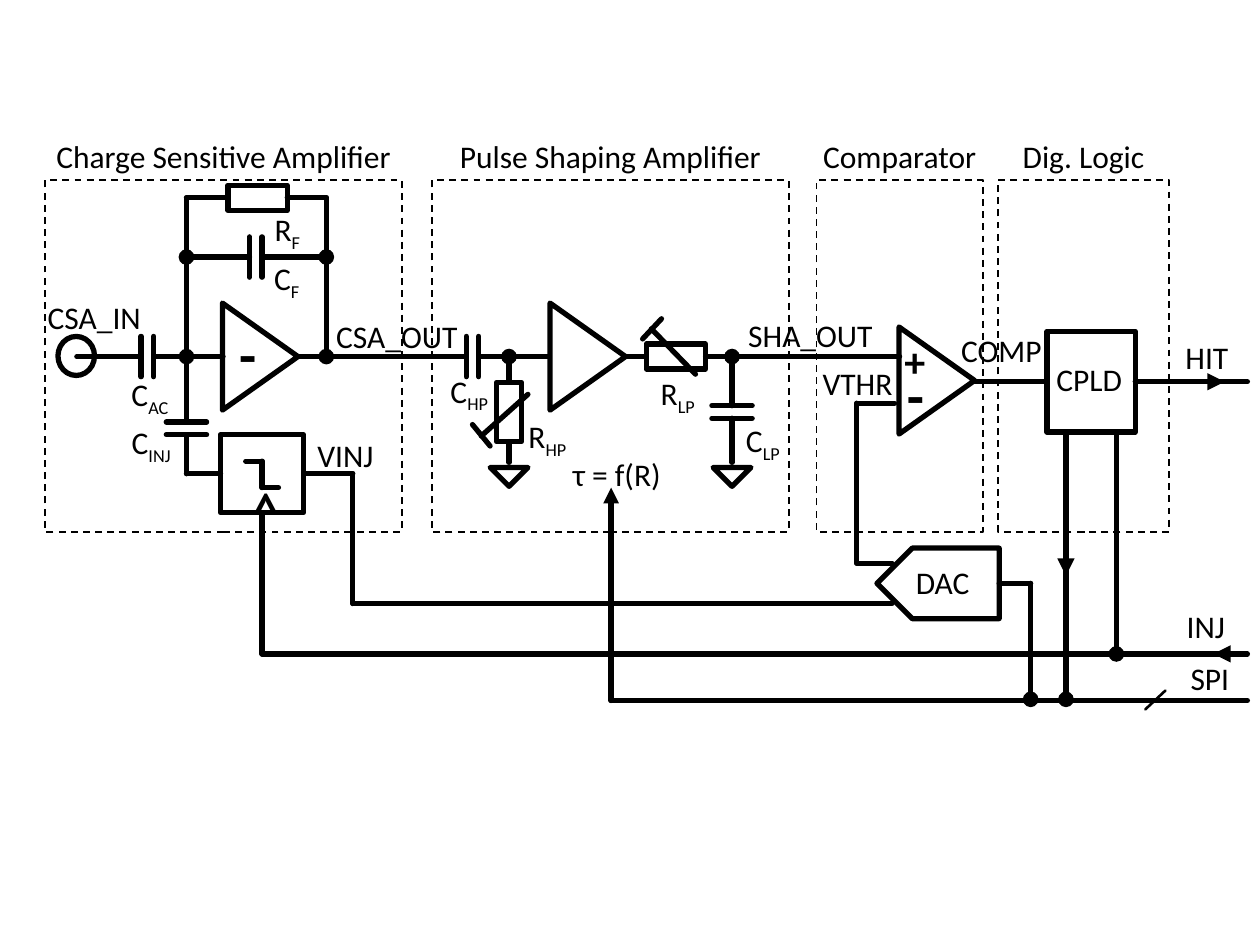
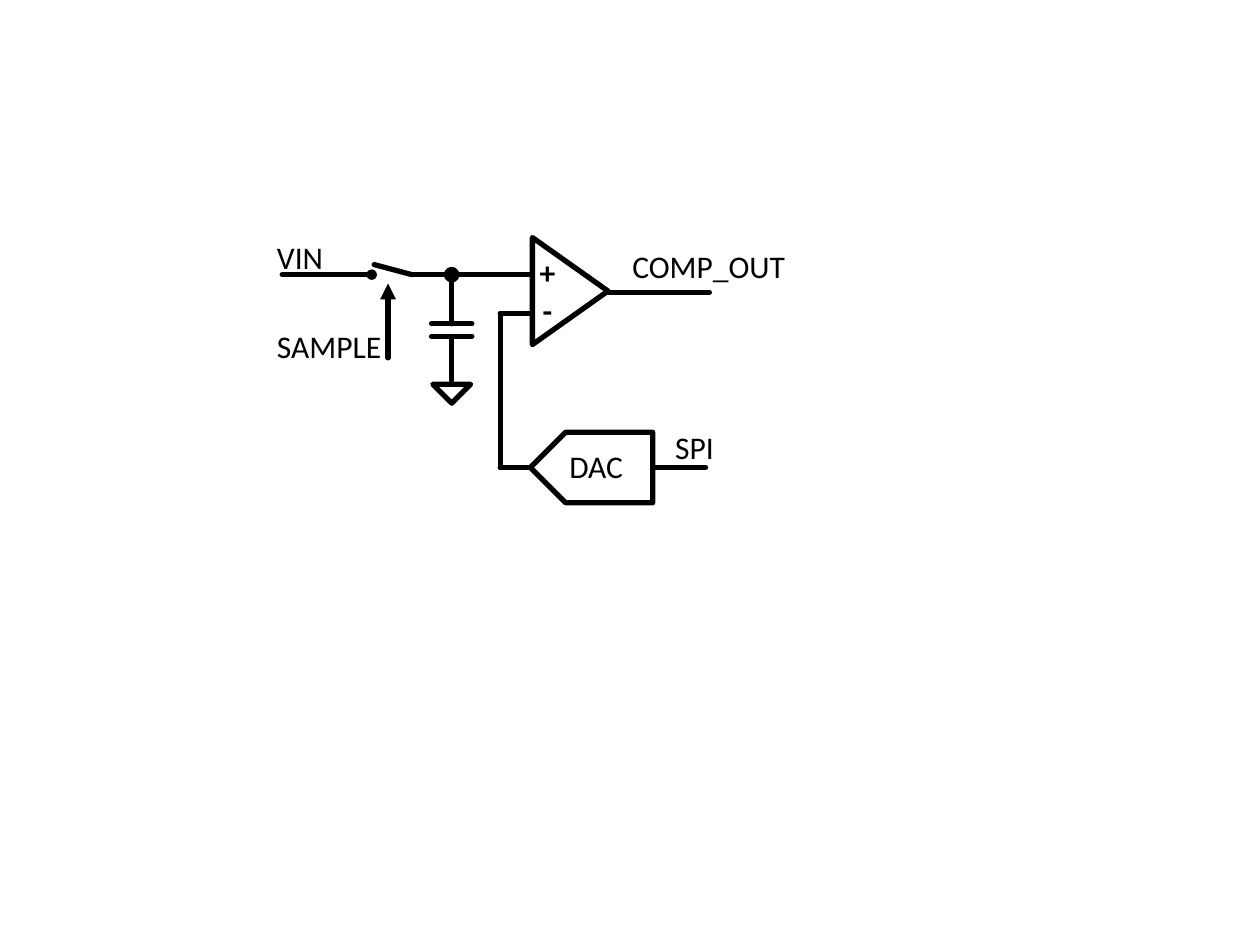
import dataclasses

import lxml.etree
import pptx
import pptx.dml.color
import pptx.enum.dml
import pptx.enum.shapes
import pptx.enum.text
import pptx.oxml.ns
import pptx.util

SHAPE = pptx.enum.shapes.MSO_SHAPE
CENTER = pptx.enum.text.PP_ALIGN.CENTER
LEFT = pptx.enum.text.PP_ALIGN.LEFT
TOP_SIDE, LEFT_SIDE, BOTTOM_SIDE, RIGHT_SIDE = range(4)


@dataclasses.dataclass(frozen=True)
class Theme:
    ink: pptx.dml.color.RGBColor = pptx.dml.color.RGBColor(0, 0, 0)
    font: str = "Calibri"
    label: int = 18
    plus: int = 24
    clock: int = 28
    minus: int = 32
    wire: float = 3
    slash: float = 1.5
    frame: float = 1
    marker: float = 0.5


THEME = Theme()
COLUMNS, ROWS = 100, 75
CELL = pptx.util.Inches(0.1)
FRAME_TOP, FRAME_HEIGHT = 14.3, 27.9
TITLE_OVERHANG = 1.5  # room for a title beyond each side of its frame
RAIL = 14  # row of the signal path inside a frame


def cells(*values):
    return [round(v * CELL) for v in values]


def add_ln(ln, tag, **attributes):
    return lxml.etree.SubElement(ln, pptx.oxml.ns.qn(tag), attributes)


class Box:
    """Region of a slide; positions are grid cells from its top left corner."""

    def __init__(self, s, left, top):
        self.s, self.left, self.top = s, left, top

    def stroke(self, obj, width):
        obj.line.color.rgb = THEME.ink
        obj.line.width = pptx.util.Pt(width)
        return obj.line._get_or_add_ln()

    def shape(self, kind, x, y, w, h, rotation=0, dashed=False):
        sp = self.s.shapes.add_shape(kind, *cells(self.left + x, self.top + y, w, h))
        sp.rotation = rotation
        sp.shadow.inherit = False
        sp.fill.background()
        ln = self.stroke(sp, THEME.frame if dashed else THEME.wire)
        if dashed:
            sp.line.dash_style = pptx.enum.dml.MSO_LINE.DASH
        else:
            add_ln(ln, "a:round")
        return sp

    def wire(self, *points, head="", tail="", width=THEME.wire, start=None, end=None):
        """Chain of straight lines; start and end are (shape, side) joints."""
        last = len(points) - 2
        for i, ((x1, y1), (x2, y2)) in enumerate(zip(points, points[1:])):
            c = self.s.shapes.add_connector(
                pptx.enum.shapes.MSO_CONNECTOR.STRAIGHT,
                *cells(self.left + x1, self.top + y1, self.left + x2, self.top + y2))
            ln = self.stroke(c, width)
            ln.set("cap", "rnd")
            add_ln(ln, "a:round")
            for tag, mark in (("a:headEnd", head if i == 0 else ""),
                              ("a:tailEnd", tail if i == last else "")):
                if mark:
                    kind, size = (mark + " med").split()[:2]
                    add_ln(ln, tag, type=kind, w=size, len=size)
            add_ln(c._element.spPr, "a:effectLst")
            if start and i == 0:
                c.begin_connect(*start)
            if end and i == last:
                c.end_connect(*end)

    def label(self, text, x, y, w, h=4, sub="", size=THEME.label, bold=False,
              align=LEFT, rotation=0):
        sp = self.s.shapes.add_textbox(*cells(self.left + x, self.top + y, w, h))
        sp.rotation = rotation
        tf = sp.text_frame
        tf.word_wrap = False
        tf.auto_size = pptx.enum.text.MSO_AUTO_SIZE.SHAPE_TO_FIT_TEXT
        tf.text = text
        if sub:
            r = tf.paragraphs[0].add_run()
            r.text = sub
            r._r.get_or_add_rPr().set("baseline", "-25000")
        for p in tf.paragraphs:
            p.alignment = CENTER if sub else align
            for r in p.runs:
                r.font.name, r.font.size = THEME.font, pptx.util.Pt(size)
                r.font.bold = bold
                r.font.color.rgb = THEME.ink


# Circuit symbols
def frame(b, title, width):
    b.shape(SHAPE.RECTANGLE, 0, 0, width, FRAME_HEIGHT, dashed=True)
    b.label(title, -TITLE_OVERHANG, -3.9, width + 2 * TITLE_OVERHANG, align=CENTER)


def amplifier(b, x, y):
    """Triangle pointing right, base at x, axis at y."""
    w, h = 8.5, 6
    b.shape(SHAPE.ISOSCELES_TRIANGLE, x + (h - w) / 2, y - h / 2, w, h, rotation=90)


def ground(b, x, y):
    b.shape(SHAPE.ISOSCELES_TRIANGLE, x - 1.5, y, 3, 1.5, rotation=180)


def dac(b, x, y):
    b.shape(SHAPE.PENTAGON, x, y, 9.7, 5.6, rotation=180)
    b.label("DAC", x + 2.1, y + 0.7, 6.3)


def capacitor(b, x, y, begin, finish, vertical=False, head=""):
    """Two plates around (x, y), with leads from begin to finish."""
    def at(along, across):
        return (x + across, along) if vertical else (along, y + across)

    middle = y if vertical else x
    for lead, plate in ((begin, middle - 0.5), (finish, middle + 0.5)):
        b.wire(at(plate, -1.6), at(plate, 1.6))
        b.wire(at(lead, 0), at(plate, 0), head=head if lead == begin else "")


def resistor(b, x, y, begin, finish, vertical=False, head=""):
    """Body centred on (x, y), with leads from begin to finish."""
    w, h = (2, 4.7) if vertical else (4.7, 2)
    body = b.shape(SHAPE.RECTANGLE, x - w / 2, y - h / 2, w, h)
    first, second = (TOP_SIDE, BOTTOM_SIDE) if vertical else (LEFT_SIDE, RIGHT_SIDE)
    for lead, side, mark in ((begin, first, head), (finish, second, "")):
        outer = (x, lead) if vertical else (lead, y)
        b.wire(outer, (x, y), head=mark, end=(body, side))


# Slide 1 regions
def charge_amplifier(b):
    frame(b, "Charge Sensitive Amplifier", 28.3)
    node_in, node_out, loop = 11.2, 22.3, 6.1
    # Input and amplifier
    b.shape(SHAPE.OVAL, 1, 12.4, 2.9, 3.1)
    capacitor(b, 8.1, RAIL, 2.5, 14.1)
    amplifier(b, 14.05, RAIL)
    b.wire((20.1, RAIL), (28.3, RAIL))
    # Feedback loop
    for x in (node_in, node_out):
        b.wire((x, RAIL), (x, loop), head="oval")
        b.wire((x, loop), (x, 1.4), head="oval")
    capacitor(b, 16.7, loop, node_in, node_out)
    resistor(b, 16.85, 1.4, node_in, node_out)
    # Injection step
    capacitor(b, node_in, 19.7, RAIL, 23.3, vertical=True)
    step = b.shape(SHAPE.RECTANGLE, 13.9, 20.2, 6.6, 6.2)
    b.wire((node_in, 23.3), (13.9, 23.3), end=(step, LEFT_SIDE))
    b.wire((20.5, 23.3), (24.4, 23.3), start=(step, RIGHT_SIDE))
    b.wire((17.2, 26.4), (17.2, 37.6), start=(step, BOTTOM_SIDE))
    b.wire((15.9, 22.3), (17.2, 22.3), (17.2, 24.4), (18.5, 24.4))
    b.label(">", 15.2, 22.8, 4, 5.7, size=THEME.clock, bold=True, rotation=270)
    # Names
    b.label("-", 14.4, 10.6, 3.4, 6.4, size=THEME.minus, bold=True)
    b.label("CSA_IN", -0.8, 8.9, 9.5)
    b.label("CSA_OUT", 22.1, 10.4, 11.7)
    b.label("VINJ", 20.6, 19.8, 6.5)
    b.label("C", 5.7, 15, 5.2, sub="AC")
    b.label("C", 5.7, 18.8, 5.4, sub="INJ")
    b.label("C", 17.1, 5.8, 4.1, sub="F")
    b.label("R", 17.1, 1.9, 4.2, sub="F")


def shaping_amplifier(b):
    frame(b, "Pulse Shaping Amplifier", 28.3)
    # High pass, amplifier, low pass
    capacitor(b, 3.2, RAIL, -2.4, 9.2)
    resistor(b, 6.1, 18.4, RAIL, 22.4, vertical=True, head="oval")
    amplifier(b, 9.35, RAIL)
    resistor(b, 19.35, RAIL, 15.3, 37.1)
    capacitor(b, 23.8, 18.4, RAIL, 22.4, vertical=True, head="oval")
    for x in (6.1, 23.8):
        ground(b, x, 22.8)
    # Trimmer strokes
    for ends in (((4.6, 21.1), (3.2, 19.4)), ((3.9, 20.3), (7.6, 17)),
                 ((16.7, 12.6), (18.2, 11)), ((17.4, 11.8), (20.9, 15.4))):
        b.wire(*ends)
    # Names
    b.label("SHA_OUT", 24.1, 10.3, 12)
    b.label("C", 0.3, 14.7, 5.3, sub="HP")
    b.label("R", 6.5, 18.3, 5.3, sub="HP")
    b.label("R", 17, 14.9, 5, sub="LP")
    b.label("C", 23.8, 18.6, 4.9, sub="LP")
    b.label("τ = f(R)", 10.1, 21.3, 9.1, align=CENTER)


def comparator(b):
    frame(b, "Comparator", 13.2)
    amplifier(b, 6.55, 15.9)
    b.wire((6.2, 17.7), (3.2, 17.7), (3.2, 30.4), (6, 30.4))
    b.label("+", 6, 11.8, 3.7, 5, size=THEME.plus, bold=True)
    b.label("-", 6.2, 13.8, 3.4, 6.4, size=THEME.minus, bold=True)
    b.label("VTHR", -0.5, 14.1, 7.6)
    b.label("COMP", 10.5, 11.5, 8.5)


def digital_logic(b):
    frame(b, "Dig. Logic", 13.6)
    cpld = b.shape(SHAPE.RECTANGLE, 3.9, 12, 7, 8)
    b.label("CPLD", 3.6, 13.8, 7.3, align=CENTER)
    b.wire((-1.8, 16), (3.9, 16), end=(cpld, LEFT_SIDE))
    b.wire((10.9, 16), (19.8, 16), start=(cpld, RIGHT_SIDE))
    b.wire((15.2, 16), (18, 16), tail="triangle lg", width=THEME.marker)
    b.label("HIT", 13.9, 12, 5.5)
    # Drops to the SPI and INJ lines
    b.wire((5.4, 41.2), (5.4, 20.1), head="oval")
    b.wire((5.4, 29.8), (5.4, 31.4), tail="triangle lg", width=THEME.marker)
    b.wire((9.4, 20), (9.4, 37.6), tail="oval")


def control_lines(b):
    edge, inj, spi = 79, 14.3, 18
    dac(b, 49.6, 5.9)
    b.wire((8, 0), (8, 10.3), (50.8, 10.3))
    b.wire((edge, inj), (0.8, inj))
    b.wire((edge, inj), (76.3, inj), tail="triangle lg", width=THEME.marker)
    b.wire((edge, spi), (28.5, spi), (28.5, 1.1), tail="triangle")
    b.wire((59.3, 8.7), (61.8, 8.7), (61.8, 17.9), tail="oval")
    b.wire((72.5, 17.2), (70.9, 18.7), width=THEME.slash)
    b.label("INJ", 73.2, 10.1, 5.1)
    b.label("SPI", 73.5, 14.2, 5.1)


# Slide 2 region
def sampling_comparator(b):
    rail, dac_row = 3.8, 19.1
    # Sampling switch
    b.wire((8.5, rail), (1.4, rail), head="oval sm")
    b.wire((8.7, 3), (11.7, rail), (21.1, rail))
    b.wire((9.8, 10.4), (9.8, 4.5), tail="triangle")
    # Hold capacitor
    capacitor(b, 14.85, 8.2, rail, 12.2, vertical=True, head="oval")
    ground(b, 14.85, 12.5)
    # Comparator and threshold
    amplifier(b, 21.25, 5.1)
    b.wire((27.3, 5.2), (35.3, 5.2))
    dac(b, 21.1, 16.3)
    b.wire((21.1, dac_row), (18.7, dac_row), (18.7, 6.9), (21.1, 6.9))
    b.wire((30.8, dac_row), (35, dac_row))
    # Names
    b.label("+\n-", 20.8, 1.6, 3.3, 7.1, bold=True, align=CENTER)
    b.label("VIN", 0, 0.4, 5.7)
    b.label("SAMPLE", 0, 7.5, 10.4)
    b.label("COMP_OUT", 28.2, 1.1, 14.2)
    b.label("SPI", 31.6, 15.5, 5.1)


def main():
    prs = pptx.Presentation()
    prs.slide_width, prs.slide_height = COLUMNS * CELL, ROWS * CELL
    blank = prs.slide_layouts[6]

    s = prs.slides.add_slide(blank)
    for region, left in ((charge_amplifier, 3.6), (shaping_amplifier, 34.3),
                         (comparator, 64.8), (digital_logic, 79.2)):
        region(Box(s, left, FRAME_TOP))
    control_lines(Box(s, 20, 37.6))

    s = prs.slides.add_slide(blank)
    sampling_comparator(Box(s, 21, 18))
    prs.save("out.pptx")


if __name__ == "__main__":
    main()
